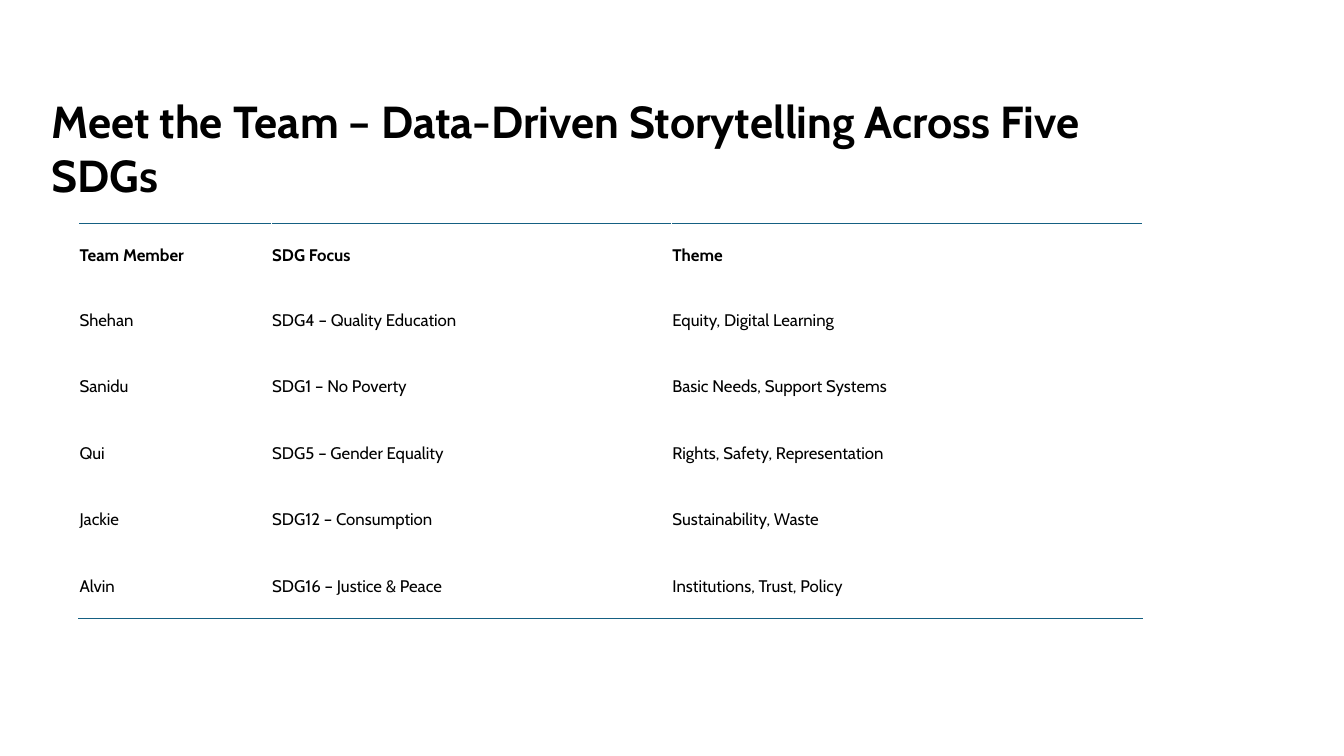
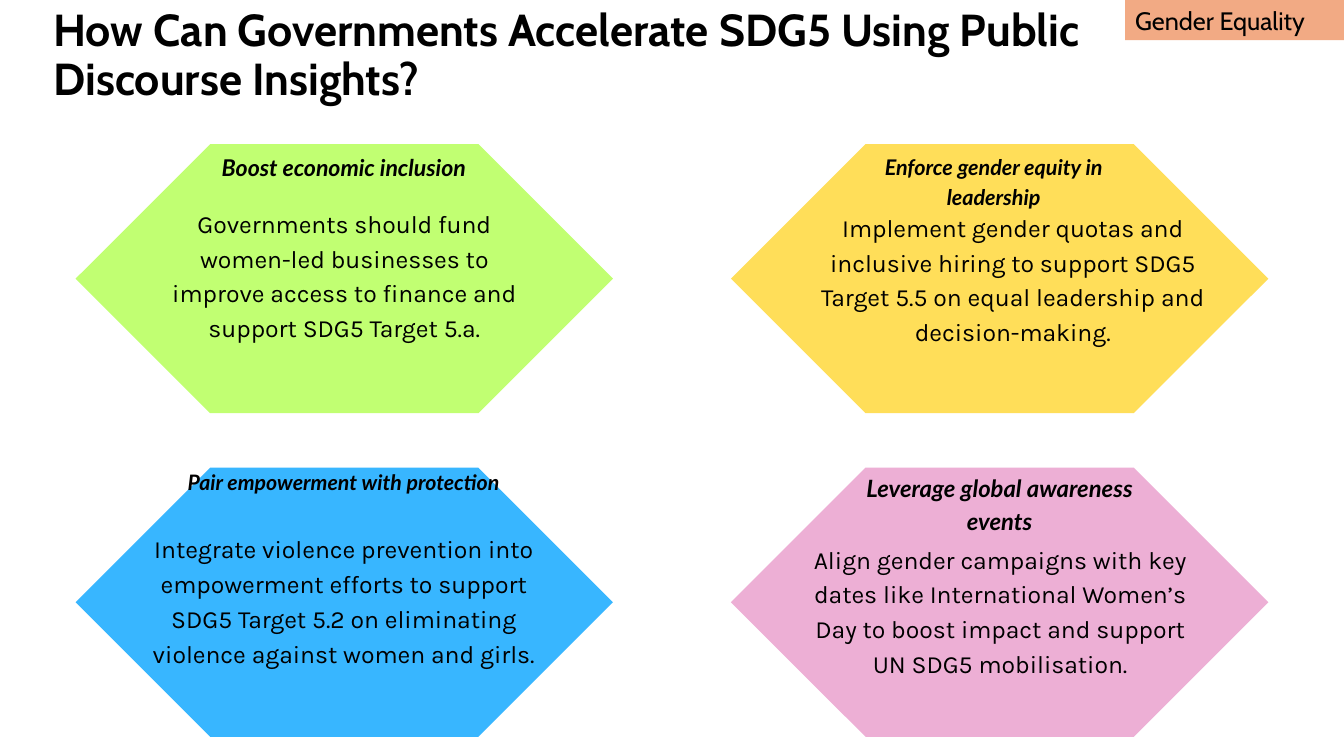
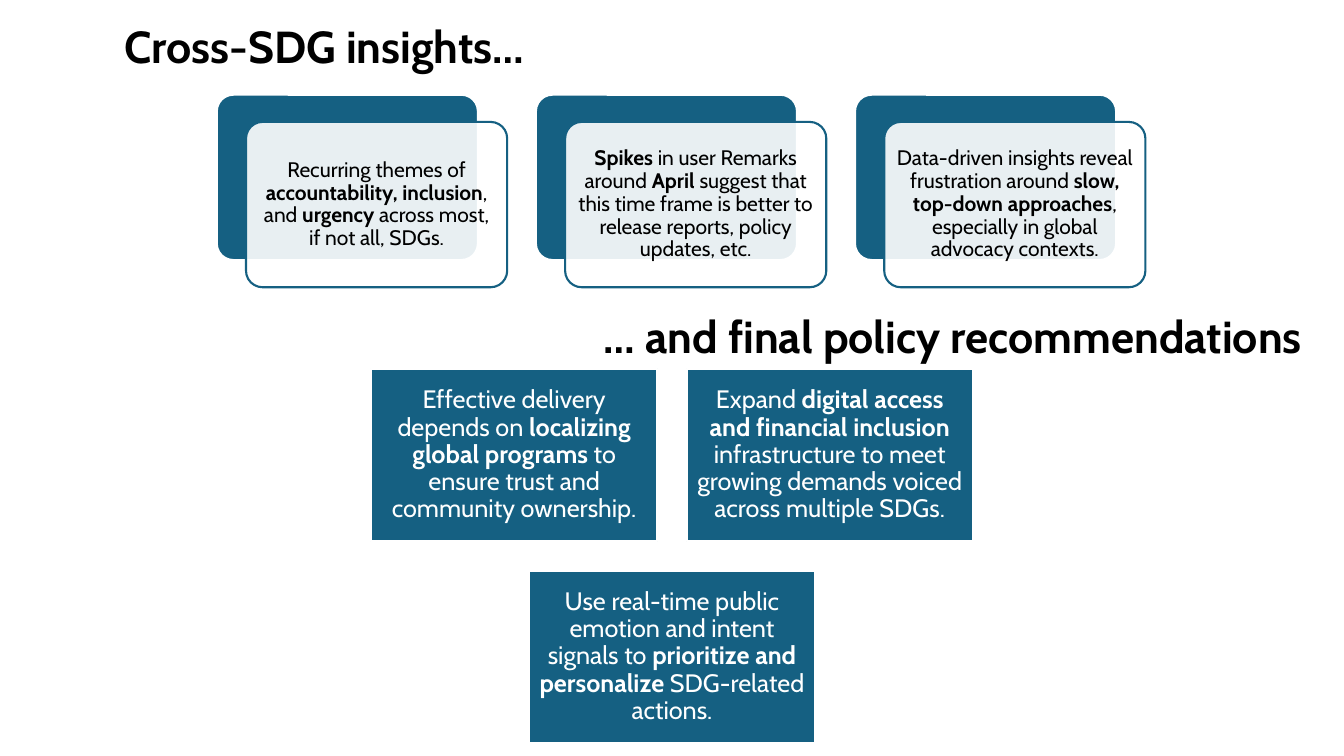
import pptx
import pptx.util
import pptx.dml.color
import pptx.enum.shapes
import pptx.enum.text
import pptx.oxml.ns
import lxml.etree

Inches = pptx.util.Inches
Pt = pptx.util.Pt
SHAPE = pptx.enum.shapes.MSO_SHAPE
ALIGN = pptx.enum.text.PP_ALIGN
ANCHOR = pptx.enum.text.MSO_ANCHOR
qn = pptx.oxml.ns.qn

WIDTH, HEIGHT = 13.33, 7.5
COLORS = {
    "black": "000000",
    "white": "FFFFFF",
    "teal": "156082",
    "peach": "F2AA84",
    "lime": "C1FF72",
    "yellow": "FFDE59",
    "blue": "38B6FF",
    "pink": "EDAFD5",
}
TITLE = {"size": 32, "bold": True}
HEADING = {"name": "Lato", "bold": True, "italic": True}
BODY = {"name": "Karla", "size": 17.7}


def rgb(name):
    return pptx.dml.color.RGBColor.from_string(COLORS[name])


class Deck:
    def __init__(self):
        self.prs = pptx.Presentation()
        self.prs.slide_width = Inches(WIDTH)
        self.prs.slide_height = Inches(HEIGHT)
        self.s = None

    def slide(self, title, at, inset=None, spacing=1.0):
        self.s = self.prs.slides.add_slide(self.prs.slide_layouts[5])
        sp = self.s.shapes.title
        sp.left, sp.top, sp.width, sp.height = map(Inches, at)
        self.frame(sp.text_frame, title, TITLE, inset=inset, spacing=spacing)

    def frame(self, tf, text, font, color="black", align=ALIGN.LEFT,
              anchor=ANCHOR.TOP, inset=None, spacing=1.0):
        style = {"word_wrap": True, "vertical_anchor": anchor,
                 "auto_size": pptx.enum.text.MSO_AUTO_SIZE.NONE}
        across, down = (0.1, 0.05) if inset is None else (inset, inset)
        style.update(margin_left=Inches(across), margin_right=Inches(across),
                     margin_top=Inches(down), margin_bottom=Inches(down))
        for key, value in style.items():
            setattr(tf, key, value)
        self.paragraph(tf.paragraphs[0], text, font, color, align, spacing)

    def paragraph(self, p, text, font, color="black", align=ALIGN.LEFT, spacing=1.0):
        p.alignment = align
        p.line_spacing = spacing
        for i, part in enumerate(text.split("**")):
            if not part:
                continue
            r = p.add_run()
            r.text = part
            style = {"name": "Cabin", "bold": i % 2 == 1, "italic": False, **font}
            style["size"] = Pt(style["size"])
            for key, value in style.items():
                setattr(r.font, key, value)
            r.font.color.rgb = rgb(color)

    def text(self, text, at, font, **options):
        tb = self.s.shapes.add_textbox(*map(Inches, at))
        self.frame(tb.text_frame, text, font, **options)

    def leaded_text(self, text, at, font):
        self.text(text, at, font, align=ALIGN.CENTER, inset=0,
                  spacing=Pt(round(1.4 * font["size"], 1)))

    def shape(self, kind, at, fill, line=None, adjust=None, alpha=None):
        sp = self.s.shapes.add_shape(kind, *map(Inches, at))
        sp.shadow.inherit = False
        sp.fill.solid()
        sp.fill.fore_color.rgb = rgb(fill)
        if alpha is not None:
            clr = sp._element.spPr.find(qn("a:solidFill"))[0]
            lxml.etree.SubElement(clr, qn("a:alpha"), val=str(alpha * 1000))
        if line:
            sp.line.color.rgb = rgb(line)
            sp.line.width = Pt(1.5)
        else:
            sp.line.fill.background()
        if adjust is not None:
            sp.adjustments[0] = adjust
        return sp

    def border(self, cell, tag):
        ln = lxml.etree.SubElement(cell._tc.get_or_add_tcPr(), qn(tag), w=str(int(Pt(1))))
        fill = lxml.etree.SubElement(ln, qn("a:solidFill"))
        lxml.etree.SubElement(fill, qn("a:srgbClr"), val=COLORS["teal"])

    def table(self, rows, at, widths, heights):
        table = self.s.shapes.add_table(len(rows), len(widths), *map(Inches, at)).table
        table.first_row = table.horz_banding = False
        for column, width in zip(table.columns, widths):
            column.width = Inches(width)
        margins = {"margin_left": 0.01, "margin_top": 0.01,
                   "margin_right": 0.01, "margin_bottom": 0}
        for i, row in enumerate(rows):
            table.rows[i].height = Inches(heights[i])
            for j, text in enumerate(row):
                cell = table.cell(i, j)
                for key, value in margins.items():
                    setattr(cell, key, Inches(value))
                cell.vertical_anchor = ANCHOR.MIDDLE
                if i == 0:
                    self.border(cell, "a:lnT")
                if i == len(rows) - 1:
                    self.border(cell, "a:lnB")
                cell.fill.background()
                self.paragraph(cell.text_frame.paragraphs[0], text,
                               {"size": 12, "bold": i == 0})

    def hexagon(self, at, fill):
        self.shape(SHAPE.HEXAGON, at, fill, adjust=0.5)

    def tag(self, text, at):
        sp = self.shape(SHAPE.RECTANGLE, at, "peach")
        self.frame(sp.text_frame, text, {"size": 18})

    def insight(self, text, left, top):
        w, h = 2.59, 1.64
        self.shape(SHAPE.ROUNDED_RECTANGLE, (left, top, w, h), "teal", "white", 0.1)
        sp = self.shape(SHAPE.ROUNDED_RECTANGLE, (left + 0.29, top + 0.27, w, h),
                        "white", "teal", 0.1, alpha=90)
        self.frame(sp.text_frame, text, {"size": 15}, align=ALIGN.CENTER,
                   anchor=ANCHOR.MIDDLE, inset=0.06, spacing=0.9)

    def policy(self, text, at):
        sp = self.shape(SHAPE.RECTANGLE, at, "teal", "white")
        self.frame(sp.text_frame, text, {"size": 18}, "white", align=ALIGN.CENTER,
                   anchor=ANCHOR.MIDDLE, inset=0.07, spacing=0.9)


def team(deck):
    deck.slide("Meet the Team – Data-Driven Storytelling Across Five SDGs",
               (0.41, 0.88, 11.19, 1.18))
    rows = [
        ("Team Member", "SDG Focus", "Theme"),
        ("Shehan", "SDG4 – Quality Education", "Equity, Digital Learning"),
        ("Sanidu", "SDG1 – No Poverty", "Basic Needs, Support Systems"),
        ("Qui", "SDG5 – Gender Equality", "Rights, Safety, Representation"),
        ("Jackie", "SDG12 – Consumption", "Sustainability, Waste"),
        ("Alvin", "SDG16 – Justice & Peace", "Institutions, Trust, Policy"),
    ]
    deck.table(rows, (0.78, 2.22, 10.55, 3.94), (1.91, 3.97, 4.67), [0.62] + [0.66] * 5)


def gender_equality(deck):
    deck.slide("How Can Governments Accelerate SDG5 Using Public Discourse Insights?",
               (0.53, 0.08, 11.41, 1.08), inset=0, spacing=0.9)
    actions = [
        ("lime", "Boost economic inclusion", 16.5, (1.97, 1.48, 2.88, 0.29),
         "Governments should fund women-led businesses to improve access to finance "
         "and support SDG5 Target 5.a.", (1.57, 2.02, 3.69, 1.37)),
        ("yellow", "Enforce gender equity in leadership", 15.4, (8.48, 1.48, 2.75, 0.59),
         "Implement gender quotas and inclusive hiring to support SDG5 Target 5.5 "
         "on equal leadership and decision-making.", (8.14, 2.06, 3.81, 1.37)),
        ("blue", "Pair empowerment with protection", 15.2, (1.84, 4.61, 3.14, 0.56),
         "Integrate violence prevention into empowerment efforts to support SDG5 "
         "Target 5.2 on eliminating violence against women and girls.",
         (1.47, 5.25, 3.88, 1.37)),
        ("pink", "Leverage global awareness events", 17, (8.38, 4.65, 3.07, 0.64),
         "Align gender campaigns with key dates like International Women’s Day to "
         "boost impact and support UN SDG5 mobilisation.", (7.98, 5.35, 3.88, 1.37)),
    ]
    for i, (fill, heading, size, heading_at, body, body_at) in enumerate(actions):
        row, col = divmod(i, 2)
        deck.hexagon((0.75 + 6.5 * col, 1.43 + 3.21 * row, 5.33, 2.67), fill)
        deck.leaded_text(body, body_at, BODY)
        deck.leaded_text(heading, heading_at, {**HEADING, "size": size})
    deck.tag("Gender Equality", (11.16, 0, 2.17, 0.4))


def recommendations(deck):
    deck.slide("Cross-SDG insights…", (1.13, 0.14, 11.08, 0.64))
    deck.text("… and final policy recommendations", (5.89, 3.01, 7.45, 0.64), TITLE)
    insights = [
        "Recurring themes of **accountability, inclusion**, and **urgency** across most, "
        "if not all, SDGs.",
        "**Spikes** in user Remarks around **April** suggest that this time frame is "
        "better to release reports, policy updates, etc.",
        "Data-driven insights reveal frustration around **slow, top-down approaches**, "
        "especially in global advocacy contexts.",
    ]
    for i, text in enumerate(insights):
        deck.insight(text, 2.15 + 6.33 * i / 2, 0.94)
    policies = [
        ["Effective delivery depends on **localizing global programs** to ensure trust "
         "and community ownership.",
         "Expand **digital access and financial inclusion** infrastructure to meet "
         "growing demands voiced across multiple SDGs."],
        ["Use real-time public emotion and intent signals to **prioritize and "
         "personalize** SDG-related actions."],
    ]
    w, h, gap = 2.84, 1.71, 0.29
    for i, row in enumerate(policies):
        left = (WIDTH - len(row) * w - (len(row) - 1) * gap) / 2
        for j, text in enumerate(row):
            deck.policy(text, (left + j * (w + gap), 3.66 + i * (h + gap), w, h))


def main():
    deck = Deck()
    team(deck)
    gender_equality(deck)
    recommendations(deck)
    deck.prs.save("out.pptx")


if __name__ == "__main__":
    main()
